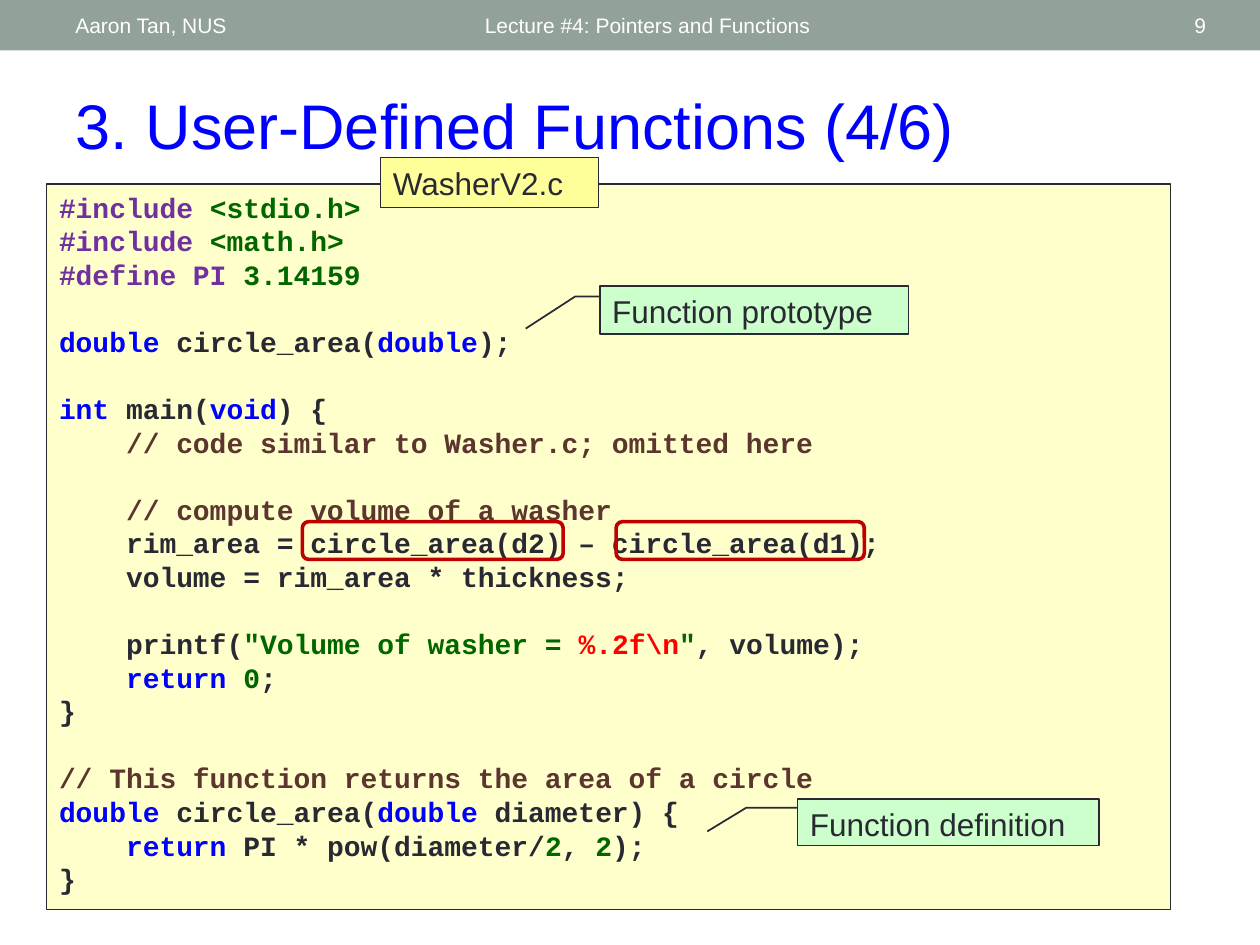
from dataclasses import dataclass

from pptx import Presentation
from pptx.dml.color import RGBColor
from pptx.enum.shapes import MSO_SHAPE
from pptx.enum.text import MSO_ANCHOR, MSO_AUTO_SIZE, PP_ALIGN
from pptx.util import Inches, Pt


@dataclass(frozen=True)
class Theme:
    body_font: str = "Arial"
    code_font: str = "Courier New"
    header_size: float = 12
    code_size: float = 16
    code_leading: float = 19.2
    label_size: float = 18
    title_size: float = 36
    white: str = "FFFFFF"
    header: str = "93A299"
    ink: str = "292934"
    blue: str = "0000FF"
    purple: str = "7030A0"
    green: str = "006600"
    brown: str = "5B352E"
    red: str = "FF0000"
    highlight: str = "C00000"
    code_fill: str = "FFFFCC"
    file_fill: str = "FFFF99"
    callout_fill: str = "CCFFCC"


THEME = Theme()
INK, BLUE, PURPLE = THEME.ink, THEME.blue, THEME.purple
GREEN, BROWN, RED = THEME.green, THEME.brown, THEME.red

# Each code line is a list of (text, colour) spans
CODE = [
    [("#include ", PURPLE), ("<stdio.h>", GREEN)],
    [("#include ", PURPLE), ("<math.h>", GREEN)],
    [("#define PI ", PURPLE), ("3.14159", GREEN)],
    [],
    [("double ", BLUE), ("circle_area(", INK), ("double", BLUE), (");", INK)],
    [],
    [("int", BLUE), (" main(", INK), ("void", BLUE), (") {", INK)],
    [("    // code similar to Washer.c; omitted here", BROWN)],
    [],
    [("    // compute volume of a washer", BROWN)],
    [("    rim_area = circle_area(d2) – circle_area(d1);", INK)],
    [("    volume = rim_area * thickness;", INK)],
    [],
    [("    printf(", INK), ('"Volume of washer = ', GREEN), ("%.2f\\n", RED),
     ('"', GREEN), (", volume);", INK)],
    [("    return ", BLUE), ("0", GREEN), (";", INK)],
    [("}", INK)],
    [],
    [("// This function returns the area of a circle", BROWN)],
    [("double ", BLUE), ("circle_area(", INK), ("double", BLUE),
     (" diameter) {", INK)],
    [("    return", BLUE), (" PI * pow(diameter/", INK), ("2", GREEN),
     (", ", INK), ("2", GREEN), (");", INK)],
    [("}", INK)],
]


def place(left, top, width, height):
    return [Inches(value) for value in (left, top, width, height)]


def write_text(shape, lines, *, size, font=THEME.body_font, bold=False,
               align=PP_ALIGN.LEFT, anchor=MSO_ANCHOR.TOP, leading=None):
    """Fill a shape with lines, each a list of (text, colour) spans."""
    frame = shape.text_frame
    frame.word_wrap = True
    frame.auto_size = MSO_AUTO_SIZE.NONE
    frame.vertical_anchor = anchor
    for index, spans in enumerate(lines):
        para = frame.add_paragraph() if index else frame.paragraphs[0]
        para.alignment = align
        para.font.size = Pt(size)
        if leading:
            para.line_spacing = Pt(leading)
        for text, color in spans:
            span = para.add_run()
            span.text = text
            span.font.name = font
            span.font.size = Pt(size)
            span.font.bold = bold
            span.font.color.rgb = RGBColor.from_string(color)


def add_box(page, position, *, kind=MSO_SHAPE.RECTANGLE, fill=None, line=None,
            weight=0.75):
    box = page.shapes.add_shape(kind, *place(*position))
    box.shadow.inherit = False
    if fill:
        box.fill.solid()
        box.fill.fore_color.rgb = RGBColor.from_string(fill)
    else:
        box.fill.background()
    if line:
        box.line.color.rgb = RGBColor.from_string(line)
        box.line.width = Pt(weight)
    else:
        box.line.fill.background()
    return box


def add_header_text(page, text, left, width, align=PP_ALIGN.LEFT):
    box = page.shapes.add_textbox(*place(left, 0.02, width, 0.36))
    write_text(box, [[(text, THEME.white)]], size=THEME.header_size,
               align=align, anchor=MSO_ANCHOR.MIDDLE)


def add_title(page, text):
    title = page.shapes.title
    title.left, title.top, title.width, title.height = place(0.5, 0.64, 9, 0.71)
    write_text(title, [[(text, BLUE)]], size=THEME.title_size)


def add_callout(page, text, position, pointer):
    box = add_box(page, position, kind=MSO_SHAPE.LINE_CALLOUT_2,
                  fill=THEME.callout_fill, line=INK, weight=1)
    for index, value in enumerate(pointer):
        box.adjustments[index] = value
    write_text(box, [[(text, INK)]], size=THEME.label_size)


def main():
    deck = Presentation()
    deck.slide_width, deck.slide_height = Inches(10), Inches(7.5)
    page = deck.slides.add_slide(deck.slide_layouts[5])

    # Header band and title
    add_box(page, (0, 0, 10, 0.4), fill=THEME.header)
    add_header_text(page, "Lecture #4: Pointers and Functions", 3.75, 4.5)
    add_header_text(page, "Aaron Tan, NUS", 0.5, 3.17)
    add_header_text(page, "9", 8.72, 0.95, align=PP_ALIGN.RIGHT)
    add_title(page, "3. User-Defined Functions (4/6)")

    # Program listing with its file name
    listing = add_box(page, (0.37, 1.46, 8.92, 5.76), fill=THEME.code_fill,
                      line=INK)
    write_text(listing, CODE, size=THEME.code_size, font=THEME.code_font,
               bold=True, leading=THEME.code_leading)
    file_label = add_box(page, (3.02, 1.25, 1.73, 0.4), fill=THEME.file_fill,
                         line=INK)
    write_text(file_label, [[("WasherV2.c", INK)]], size=THEME.label_size)

    # Frames around the two function calls
    for left, width in ((2.4, 2.07), (4.89, 1.97)):
        add_box(page, (left, 4.14, width, 0.3), line=THEME.highlight,
                kind=MSO_SHAPE.ROUNDED_RECTANGLE, weight=2.08)

    # Callouts
    add_callout(page, "Function prototype", (4.76, 2.27, 2.45, 0.38),
                (0.22, 0, 0.22, -0.08, 0.89, -0.24))
    add_callout(page, "Function definition", (6.33, 6.34, 2.39, 0.37),
                (0.19, 0, 0.19, -0.17, 0.7, -0.3))

    deck.save("out.pptx")


if __name__ == "__main__":
    main()
